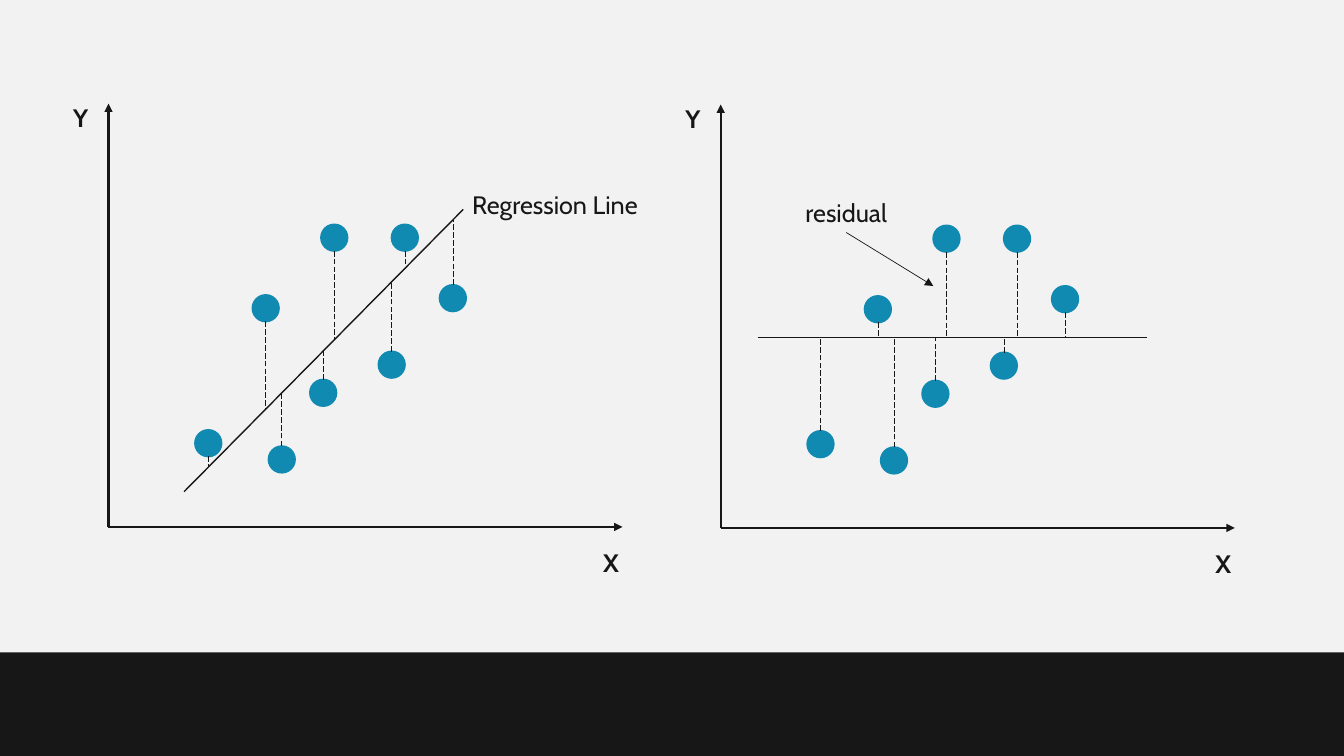
import pptx
import pptx.util
import pptx.dml.color
import pptx.enum.dml
import pptx.enum.shapes
import pptx.enum.text
import pptx.oxml.ns
from lxml import etree

Pt = pptx.util.Pt
COLORS = {"background": "F2F2F2", "ink": "181717", "dot": "118AB2"}
FONT = "Cabin"
PANEL_W, PANEL_H = 367.2, 302.4
LABEL_H = 28.8
DOT = 18.72
# Dot centres, measured from the top left corner of a panel
DOTS = [(71.3, 242.6), (112.3, 146.2), (123.8, 254.2), (153.4, 206.6),
        (161.3, 95.8), (202.3, 186.5), (211.7, 95.8), (246, 139)]


def rgb(name):
    return pptx.dml.color.RGBColor.from_string(COLORS[name])


def add_line(s, x1, y1, x2, y2, width, dashed=False, arrow=False):
    line = s.shapes.add_connector(pptx.enum.shapes.MSO_CONNECTOR.STRAIGHT,
                                  Pt(x1), Pt(y1), Pt(x2), Pt(y2))
    line.line.color.rgb = rgb("ink")
    line.line.width = Pt(width)
    if dashed:
        line.line.dash_style = pptx.enum.dml.MSO_LINE.LONG_DASH
    qn = pptx.oxml.ns.qn
    if arrow:
        etree.SubElement(line.line._get_or_add_ln(), qn("a:tailEnd"), type="triangle")
    etree.SubElement(line._element.spPr, qn("a:effectLst"))
    return line


def add_shape(s, kind, x, y, w, h, color):
    sp = s.shapes.add_shape(kind, Pt(x), Pt(y), Pt(w), Pt(h))
    sp.shadow.inherit = False
    sp.fill.solid()
    sp.fill.fore_color.rgb = rgb(color)
    sp.line.fill.background()
    return sp


def add_label(s, text, x, y, w, bold=False, centered=False):
    sp = s.shapes.add_textbox(Pt(x), Pt(y), Pt(w), Pt(LABEL_H))
    tf = sp.text_frame
    tf.word_wrap = True
    p = tf.paragraphs[0]
    p.text = text
    if centered:
        p.alignment = pptx.enum.text.PP_ALIGN.CENTER
    font = p.runs[0].font
    font.name, font.size, font.bold = FONT, Pt(18), bold
    font.color.rgb = rgb("ink")
    return sp


def add_plot(s, left, top, fit_start, fit_end):
    """Draw axes, a fitted line, the dots and their dashed residuals."""
    bottom = top + PANEL_H
    add_line(s, left, bottom, left, top, 1.5, arrow=True)
    add_line(s, left, bottom, left + PANEL_W, bottom, 1.5, arrow=True)
    add_label(s, "X", left + 346.3, bottom + 10.8, 42.5, bold=True)
    add_label(s, "Y", left - 32.4, top - 4.3, 42.5, bold=True)

    (x1, y1), (x2, y2) = fit_start, fit_end
    add_line(s, left + x1, top + y1, left + x2, top + y2, 1)
    slope = (y2 - y1) / (x2 - x1)
    r = DOT / 2
    for x, y in DOTS:
        fit_y = y1 + slope * (x - x1)
        edge = y + r if fit_y > y else y - r
        dot = add_shape(s, pptx.enum.shapes.MSO_SHAPE.OVAL,
                        left + x - r, top + y - r, DOT, DOT, "dot")
        dot.line.color.rgb = rgb("dot")
        dot.line.width = Pt(1.5)
        add_line(s, left + x, top + edge, left + x, top + fit_y, 0.5, dashed=True)


def add_regression_panel(s, left, top):
    add_plot(s, left, top, (54, 277.2), (253.4, 75.6))
    add_label(s, "Regression Line", left + 246.2, top + 57.6, 145.4, centered=True)


def add_residual_panel(s, left, top):
    add_plot(s, left, top, (26.6, 166.3), (304.6, 166.3))
    label = add_label(s, "residual", left + 49.7, top + 62.6, 80, centered=True)
    arrow = add_line(s, left + 89.7, top + 91.4, left + 151.9, top + 129.6,
                     0.5, arrow=True)
    arrow.begin_connect(label, 2)


def add_footer(s, top, width, height):
    add_shape(s, pptx.enum.shapes.MSO_SHAPE.RECTANGLE, 0, top, width, height, "ink")


def main():
    prs = pptx.Presentation()
    prs.slide_width, prs.slide_height = Pt(960), Pt(540)
    s = prs.slides.add_slide(prs.slide_layouts[6])
    s.background.fill.solid()
    s.background.fill.fore_color.rgb = rgb("background")
    add_regression_panel(s, 77.5, 74)
    add_residual_panel(s, 514.8, 74.7)
    add_footer(s, 466, 960, 74)
    prs.save("out.pptx")


if __name__ == "__main__":
    main()
